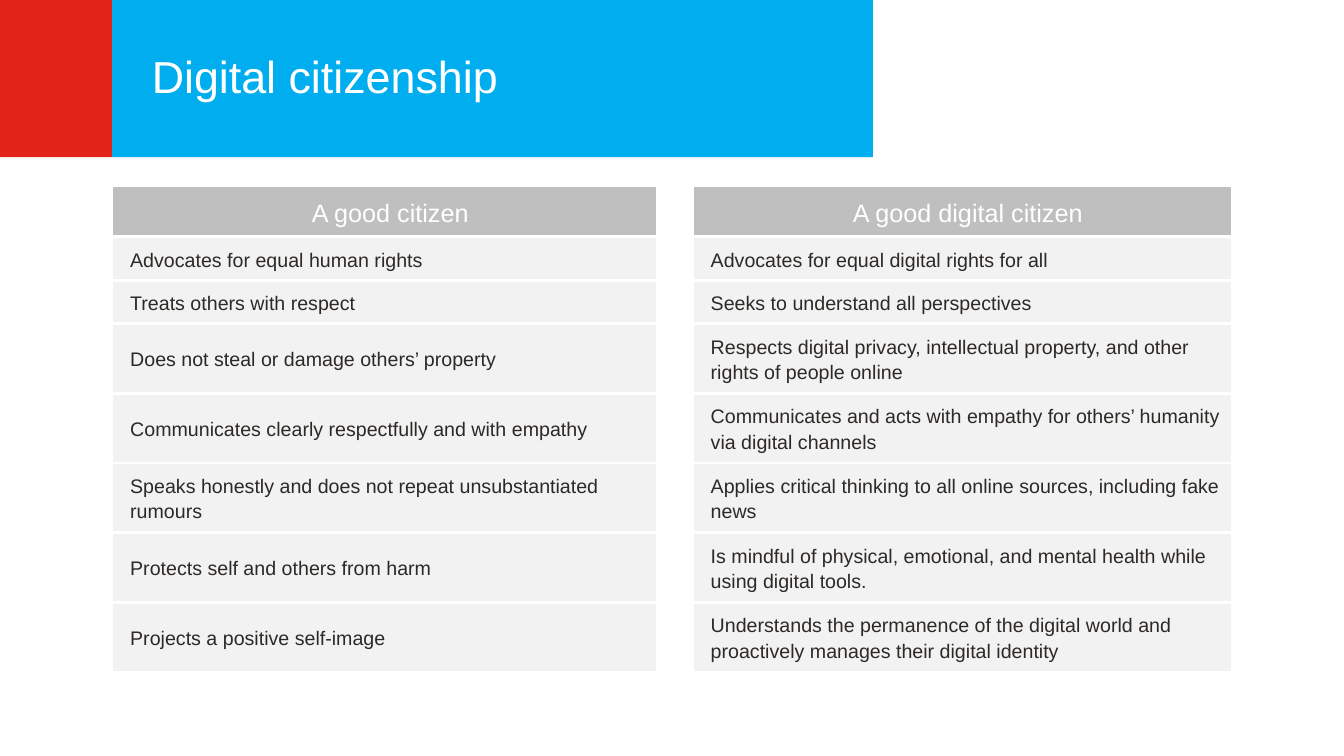
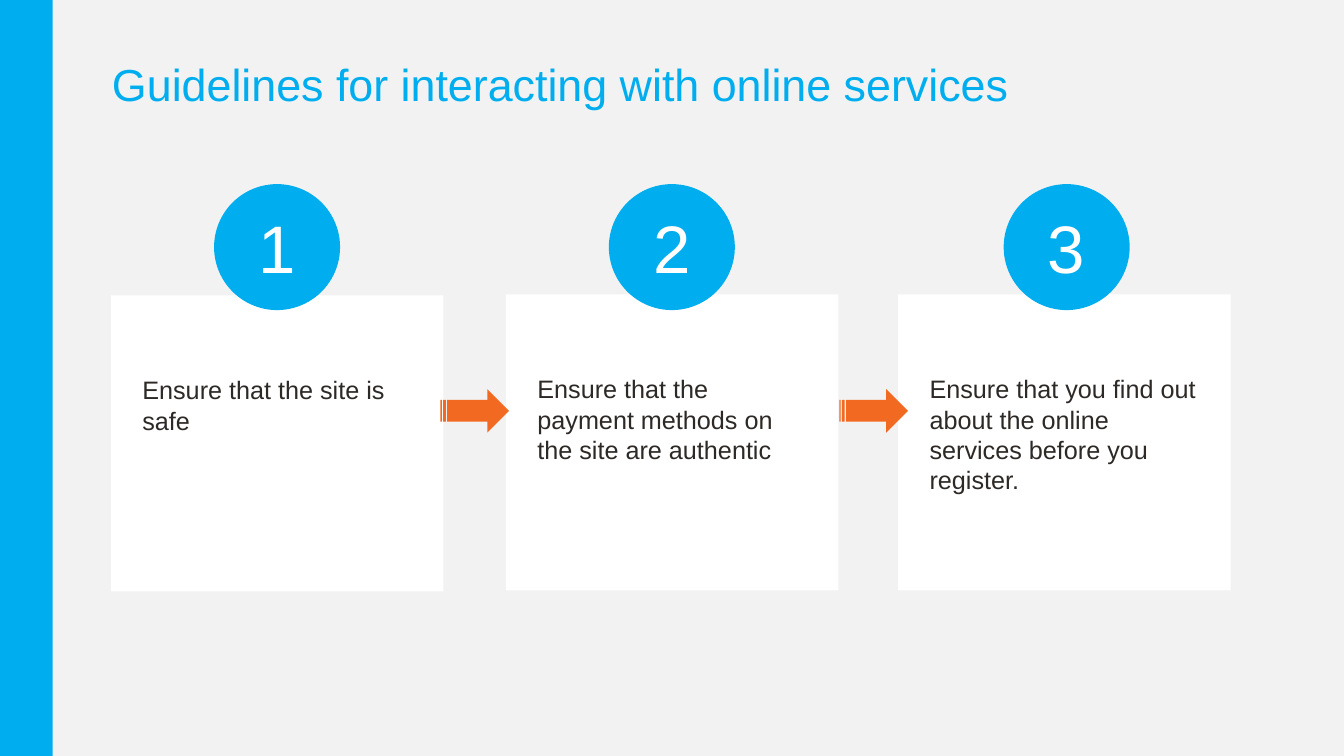
from lxml import etree
from pptx import Presentation
from pptx.dml.color import RGBColor
from pptx.enum.shapes import MSO_SHAPE
from pptx.enum.text import MSO_ANCHOR, MSO_AUTO_SIZE, PP_ALIGN
from pptx.oxml.ns import qn
from pptx.util import Pt

RECT, OVAL, ARROW = MSO_SHAPE.RECTANGLE, MSO_SHAPE.OVAL, MSO_SHAPE.STRIPED_RIGHT_ARROW
TOP, MIDDLE = MSO_ANCHOR.TOP, MSO_ANCHOR.MIDDLE
LEFT, CENTER = PP_ALIGN.LEFT, PP_ALIGN.CENTER
NO_FIT = MSO_AUTO_SIZE.NONE
TITLE_ONLY = 5


class Theme:
    font = "Arial"
    blue = RGBColor.from_string("00AEEF")
    red = RGBColor.from_string("E2231A")
    orange = RGBColor.from_string("F26A21")
    white = RGBColor.from_string("FFFFFF")
    ink = RGBColor.from_string("2D2926")
    pale = RGBColor.from_string("F2F2F2")
    grey = RGBColor.from_string("BFBFBF")
    title, body, row, number = Pt(32), Pt(18), Pt(14), Pt(48)


def add_block(slide, kind, left, top, width, height, color):
    block = slide.shapes.add_shape(kind, Pt(left), Pt(top), Pt(width), Pt(height))
    block.shadow.inherit = False
    block.fill.solid()
    block.fill.fore_color.rgb = color
    block.line.fill.background()
    return block


def write(holder, text, size, color, margins, frame_format, paragraph_format):
    """Fill a shape or table cell; margins run left, top, right, bottom."""
    frame = holder.text_frame
    frame.text = text
    paragraph = frame.paragraphs[0]
    for side, margin in zip(("left", "top", "right", "bottom"), margins):
        setattr(holder if hasattr(holder, "is_merge_origin") else frame,
                f"margin_{side}", Pt(margin))
    for name, value in frame_format.items():
        setattr(holder if hasattr(holder, "is_merge_origin") else frame, name, value)
    for name, value in paragraph_format.items():
        setattr(paragraph, name, value)
    font = paragraph.runs[0].font
    font.name, font.size, font.color.rgb = Theme.font, size, color
    return paragraph


title_frame = {"vertical_anchor": MIDDLE, "word_wrap": True, "auto_size": NO_FIT}
title_paragraph = {"alignment": LEFT, "line_spacing": 0.9}

deck = Presentation()
deck.slide_width, deck.slide_height = Pt(960), Pt(540)

# Titles, each with its own place, colour and margins
titles = [
    ("Digital citizenship", (80, 0, 543.6, 112.3), Theme.white, (28.4, 3.6, 42.5, 3.6)),
    ("Guidelines for interacting with online services",
     (80, 15.8, 682.6, 92.9), Theme.blue, (0, 0, 0, 0)),
]
slides = []
for text, place, color, margins in titles:
    slide = deck.slides.add_slide(deck.slide_layouts[TITLE_ONLY])
    title = slide.shapes.title
    title.left, title.top, title.width, title.height = map(Pt, place)
    write(title, text, Theme.title, color, margins, title_frame, title_paragraph)
    slides.append(slide)
citizenship, guidelines = slides

# Slide 1: title band
band = citizenship.shapes.title
band.fill.solid()
band.fill.fore_color.rgb = Theme.blue
add_block(citizenship, RECT, 0, 0, 80, 112.3, Theme.red)

# Slide 1: comparison table, with an empty column as the gap
comparison = [
    ("A good citizen", "A good digital citizen"),
    ("Advocates for equal human rights", "Advocates for equal digital rights for all"),
    ("Treats others with respect", "Seeks to understand all perspectives"),
    ("Does not steal or damage others’ property",
     "Respects digital privacy, intellectual property, and other rights of people online"),
    ("Communicates clearly respectfully and with empathy",
     "Communicates and acts with empathy for others’ humanity via digital channels"),
    ("Speaks honestly and does not repeat unsubstantiated rumours",
     "Applies critical thinking to all online sources, including fake news"),
    ("Protects self and others from harm",
     "Is mindful of physical, emotional, and mental health while using digital tools."),
    ("Projects a positive self-image",
     "Understands the permanence of the digital world and proactively manages "
     "their digital identity"),
]
column_widths = [389.5, 25.2, 385.3]
row_heights = [36.7] + [31] * 2 + [49.8] * 5
table = citizenship.shapes.add_table(
    len(row_heights), len(column_widths), Pt(80), Pt(132.5),
    Pt(sum(column_widths)), Pt(sum(row_heights))).table
table.first_row = table.horz_banding = False
for column, width in zip(table.columns, column_widths):
    column.width = Pt(width)
for row, height, (citizen, digital) in zip(table.rows, row_heights, comparison):
    row.height = Pt(height)
    if citizen == comparison[0][0]:
        fill, size, color, alignment = Theme.grey, Theme.body, Theme.white, CENTER
    else:
        fill, size, color, alignment = Theme.pale, Theme.row, Theme.ink, LEFT
    for cell, text in zip(row.cells, (citizen, "", digital)):
        # White rules on all four sides
        cell_properties = cell._tc.get_or_add_tcPr()
        for side in ("lnL", "lnR", "lnT", "lnB"):
            rule = etree.SubElement(cell_properties, qn(f"a:{side}"), w=str(Pt(2.25)))
            rule_fill = etree.SubElement(rule, qn("a:solidFill"))
            etree.SubElement(rule_fill, qn("a:srgbClr"), val=str(Theme.white))
        if not text:
            cell.fill.background()
            continue
        cell.fill.solid()
        cell.fill.fore_color.rgb = fill
        paragraph = write(cell, text, size, color, (5, 5, 5, 5), {"vertical_anchor": MIDDLE},
                          {"alignment": alignment, "line_spacing": 1.15})
        paragraph._p.get_or_add_pPr().set("marL", str(Pt(8)))

# Slide 2: background and side band
guidelines.background.fill.solid()
guidelines.background.fill.fore_color.rgb = Theme.pale
add_block(guidelines, RECT, 0, 0, 37.6, 540, Theme.blue)

# Slide 2: step cards
steps = [
    (79.2, 211, "Ensure that the site is safe"),
    (361.4, 210.2, "Ensure that the payment methods on the site are authentic"),
    (641.5, 210.2, "Ensure that you find out about the online services before you register."),
]
for left, top, text in steps:
    card = add_block(guidelines, RECT, left, top, 237.6, 211.5, Theme.white)
    write(card, text, Theme.body, Theme.ink, (22.5, 56.7, 22.5, 3.6),
          {"vertical_anchor": TOP, "word_wrap": True},
          {"alignment": LEFT, "space_after": Pt(12)})

# Slide 2: arrows between cards and numbers above them
for left in (314.6, 599.5):
    add_block(guidelines, ARROW, left, 278, 49, 31, Theme.orange)
for index in range(len(steps)):
    badge = add_block(guidelines, OVAL, 152.9 + 282 * index, 131.5, 90, 90, Theme.blue)
    write(badge, str(index + 1), Theme.number, Theme.white, (7.2, 3.6, 7.2, 3.6),
          {"vertical_anchor": MIDDLE, "word_wrap": True}, {"alignment": CENTER})

deck.save("out.pptx")
